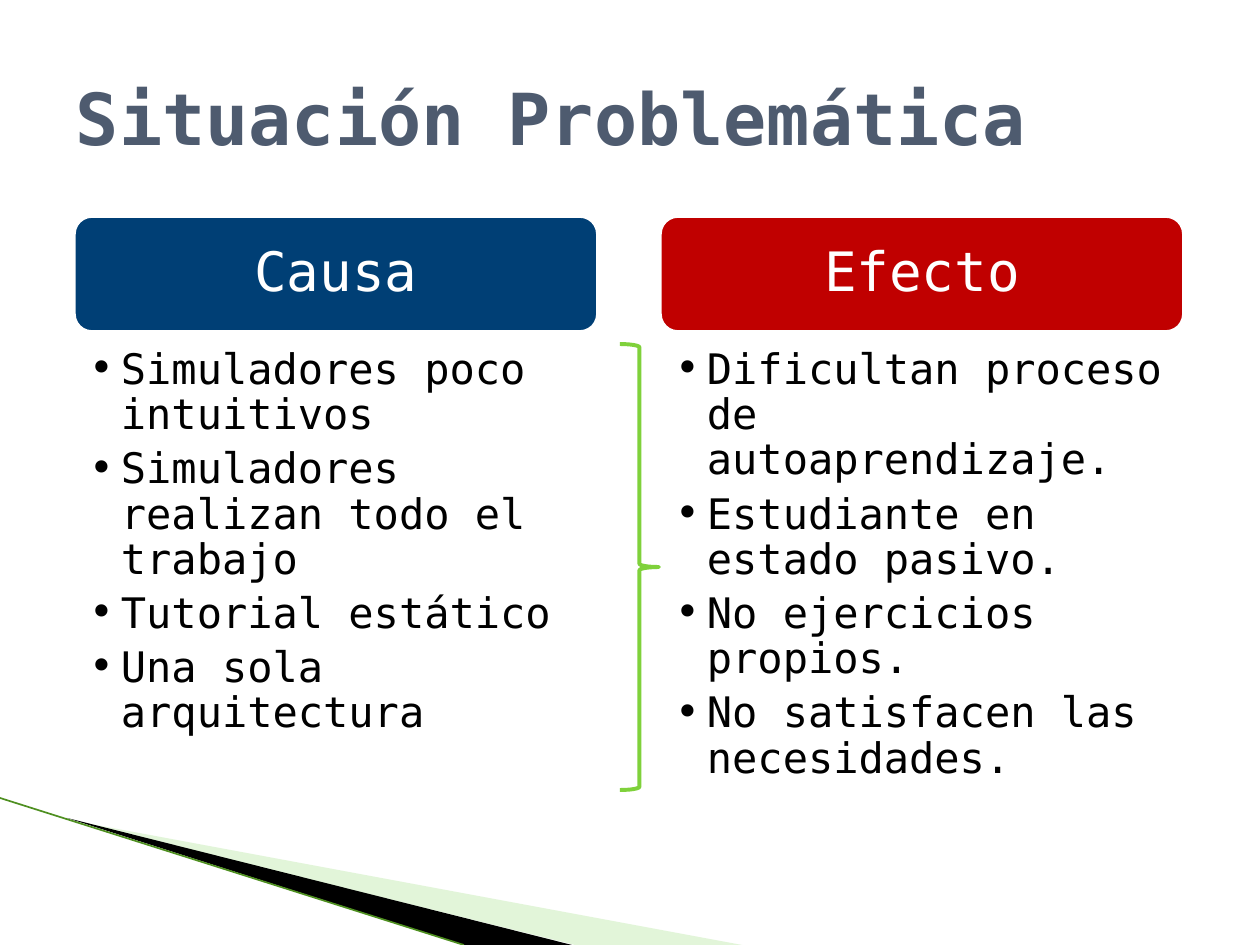
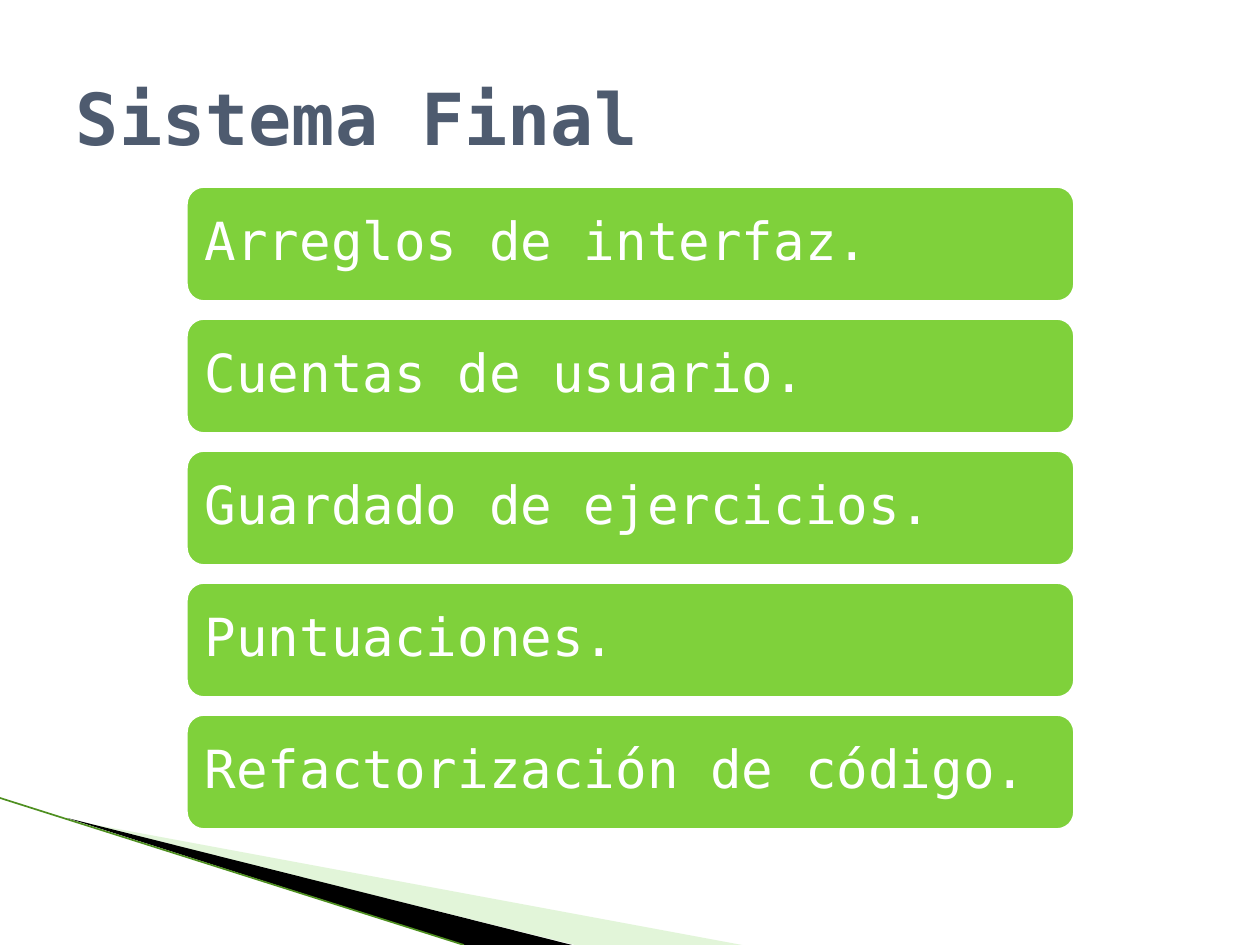
from typing import NamedTuple

from lxml.etree import SubElement
from pptx import Presentation
from pptx.dml.color import RGBColor
from pptx.enum.shapes import MSO_CONNECTOR, MSO_SHAPE
from pptx.enum.text import MSO_ANCHOR, MSO_AUTO_SIZE, PP_ALIGN
from pptx.oxml.ns import qn
from pptx.util import Emu, Pt

PX_EMU = 914400 / 126
SLIDE_W, SLIDE_H = 1260, 945
FONT = "DejaVu Sans Mono"
WHITE, BLACK = "FFFFFF", "000000"
SLATE, GREEN, NAVY, RED = "4E5B6F", "7FD13B", "003F75", "C00000"
PALE_GREEN, DARK_GREEN = "B8E7A1", "4E8F20"

BAR_H = 120
COLUMN_W, COLUMN_TOP, BODY_TOP = 528, 214, 343
LIST_LEFT, LIST_TOP, LIST_W, LIST_GAP = 184, 184, 893, 12
INDENT = 32


class Box(NamedTuple):
    left: int
    top: int
    width: int
    height: int


class Insets(NamedTuple):
    left: int
    top: int
    right: int
    bottom: int


class Wedge(NamedTuple):
    points: tuple[tuple[int, int], ...]
    color: str
    alpha: int


class Column(NamedTuple):
    left: int
    heading: str
    color: str
    items: tuple[str, ...]
    insets: Insets


WEDGES = (
    Wedge(((69, 820), (742, 945), (575, 945)), PALE_GREEN, 40),
    Wedge(((67, 818), (572, 945), (464, 945)), BLACK, 100),
)
COLUMNS = (
    Column(72, "Causa", NAVY, (
        "Simuladores poco intuitivos",
        "Simuladores realizan todo el trabajo",
        "Tutorial estático",
        "Una sola arquitectura",
    ), Insets(17, 5, 30, 5)),
    Column(658, "Efecto", RED, (
        "Dificultan proceso de autoaprendizaje.",
        "Estudiante en estado pasivo.",
        "No ejercicios propios.",
        "No satisfacen las necesidades.",
    ), Insets(17, 5, 20, 5)),
)
IMPROVEMENTS = (
    "Arreglos de interfaz.",
    "Cuentas de usuario.",
    "Guardado de ejercicios.",
    "Puntuaciones.",
    "Refactorización de código.",
)


def px(n: int) -> Emu:
    return Emu(round(n * PX_EMU))


def rgb(color: str) -> RGBColor:
    return RGBColor.from_string(color)


def emu_box(box: Box) -> tuple[Emu, ...]:
    return tuple(px(n) for n in box)


def fill(sp, color: str) -> None:
    sp.fill.solid()
    sp.fill.fore_color.rgb = rgb(color)


def set_frame(tf, insets: Insets, anchor: MSO_ANCHOR) -> None:
    tf.word_wrap = True
    tf.auto_size = MSO_AUTO_SIZE.NONE
    tf.vertical_anchor = anchor
    tf.margin_left, tf.margin_top, tf.margin_right, tf.margin_bottom = emu_box(insets)


def format_runs(p, size: int, color: str, bold: bool = False) -> None:
    for r in p.runs:
        r.font.name = FONT
        r.font.size = Pt(size)
        r.font.bold = bold
        r.font.color.rgb = rgb(color)


def add_bullet(p) -> None:
    pPr = p._p.get_or_add_pPr()
    pPr.set("marL", str(px(INDENT)))
    pPr.set("indent", str(-px(INDENT)))
    SubElement(pPr, qn("a:buFont")).set("typeface", FONT)
    SubElement(pPr, qn("a:buChar")).set("char", "•")


def add_wedge(s, wedge: Wedge) -> None:
    builder = s.shapes.build_freeform(*wedge.points[0], scale=PX_EMU)
    builder.add_line_segments(wedge.points[1:], close=True)
    sp = builder.convert_to_shape()
    sp.shadow.inherit = False
    fill(sp, wedge.color)
    sp.line.fill.background()
    if wedge.alpha < 100:
        clr = sp._element.spPr.find(qn("a:solidFill"))[0]
        SubElement(clr, qn("a:alpha")).set("val", str(wedge.alpha * 1000))


def add_edge_line(s) -> None:
    line = s.shapes.add_connector(
        MSO_CONNECTOR.STRAIGHT, px(0), px(798), px(464), px(SLIDE_H))
    line.line.color.rgb = rgb(DARK_GREEN)
    line.line.width = Pt(0.95)
    SubElement(line._element.spPr, qn("a:effectLst"))


def add_slide(prs, title: str):
    s = prs.slides.add_slide(prs.slide_layouts[5])
    sp = s.shapes.title
    sp.left, sp.top, sp.width, sp.height = emu_box(Box(63, 38, 1134, 157))
    tf = sp.text_frame
    tf.text = title
    set_frame(tf, Insets(13, 6, 13, 6), MSO_ANCHOR.MIDDLE)
    tf.paragraphs[0].alignment = PP_ALIGN.LEFT
    format_runs(tf.paragraphs[0], 41, SLATE, True)
    for wedge in WEDGES:
        add_wedge(s, wedge)
    add_edge_line(s)
    return s


def add_bar(s, box: Box, text: str, color: str, size: int,
            inset: int, align: PP_ALIGN) -> None:
    sp = s.shapes.add_shape(MSO_SHAPE.ROUNDED_RECTANGLE, *emu_box(box))
    sp.shadow.inherit = False
    fill(sp, color)
    sp.line.color.rgb = rgb(WHITE)
    sp.line.width = Pt(4.33)
    tf = sp.text_frame
    tf.text = text
    set_frame(tf, Insets(inset, inset, inset, inset), MSO_ANCHOR.MIDDLE)
    p = tf.paragraphs[0]
    p.alignment = align
    p.line_spacing = 0.9
    format_runs(p, size, WHITE)


def add_column(s, column: Column) -> None:
    add_bar(s, Box(column.left, COLUMN_TOP, COLUMN_W, BAR_H),
            column.heading, column.color, 31, 17, PP_ALIGN.CENTER)
    sp = s.shapes.add_textbox(*emu_box(Box(column.left, BODY_TOP, COLUMN_W, 460)))
    tf = sp.text_frame
    tf.text = "\n".join(column.items)
    set_frame(tf, column.insets, MSO_ANCHOR.TOP)
    for p in tf.paragraphs:
        p.line_spacing = 0.9
        p.space_after = Pt(5)
        add_bullet(p)
        format_runs(p, 24, BLACK)


def add_problem_slide(prs) -> None:
    s = add_slide(prs, "Situación Problemática")
    brace = s.shapes.add_shape(MSO_SHAPE.RIGHT_BRACE, *emu_box(Box(620, 344, 39, 446)))
    brace.shadow.inherit = False
    brace.fill.background()
    brace.line.color.rgb = rgb(GREEN)
    brace.line.width = Pt(2.25)
    for column in COLUMNS:
        add_column(s, column)


def add_final_system_slide(prs) -> None:
    s = add_slide(prs, "Sistema Final")
    for i, text in enumerate(IMPROVEMENTS):
        top = LIST_TOP + i * (BAR_H + LIST_GAP)
        add_bar(s, Box(LIST_LEFT, top, LIST_W, BAR_H), text, GREEN, 30, 15, PP_ALIGN.LEFT)


def main() -> None:
    prs = Presentation()
    prs.slide_width, prs.slide_height = px(SLIDE_W), px(SLIDE_H)
    add_problem_slide(prs)
    add_final_system_slide(prs)
    prs.save("out.pptx")


if __name__ == "__main__":
    main()
